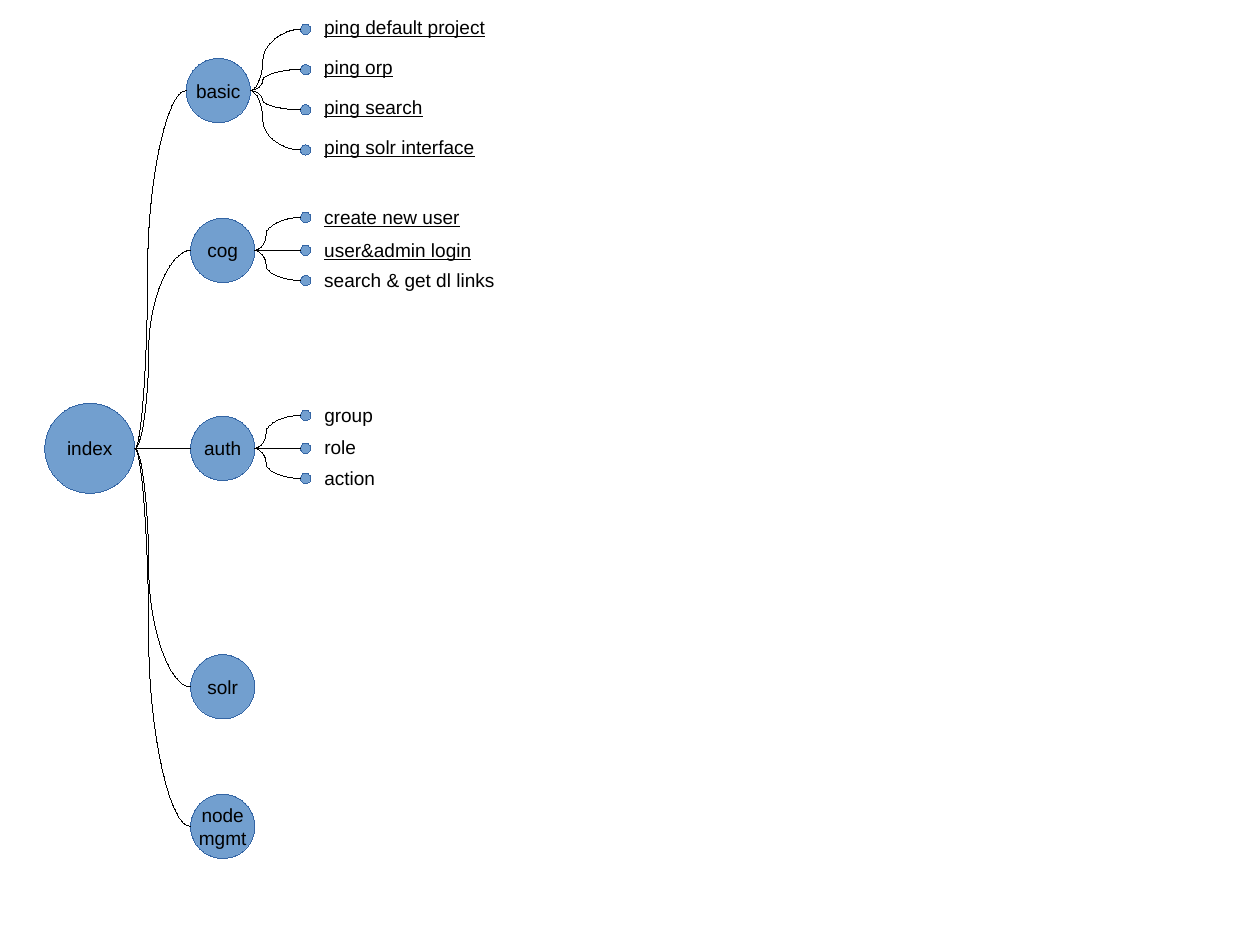
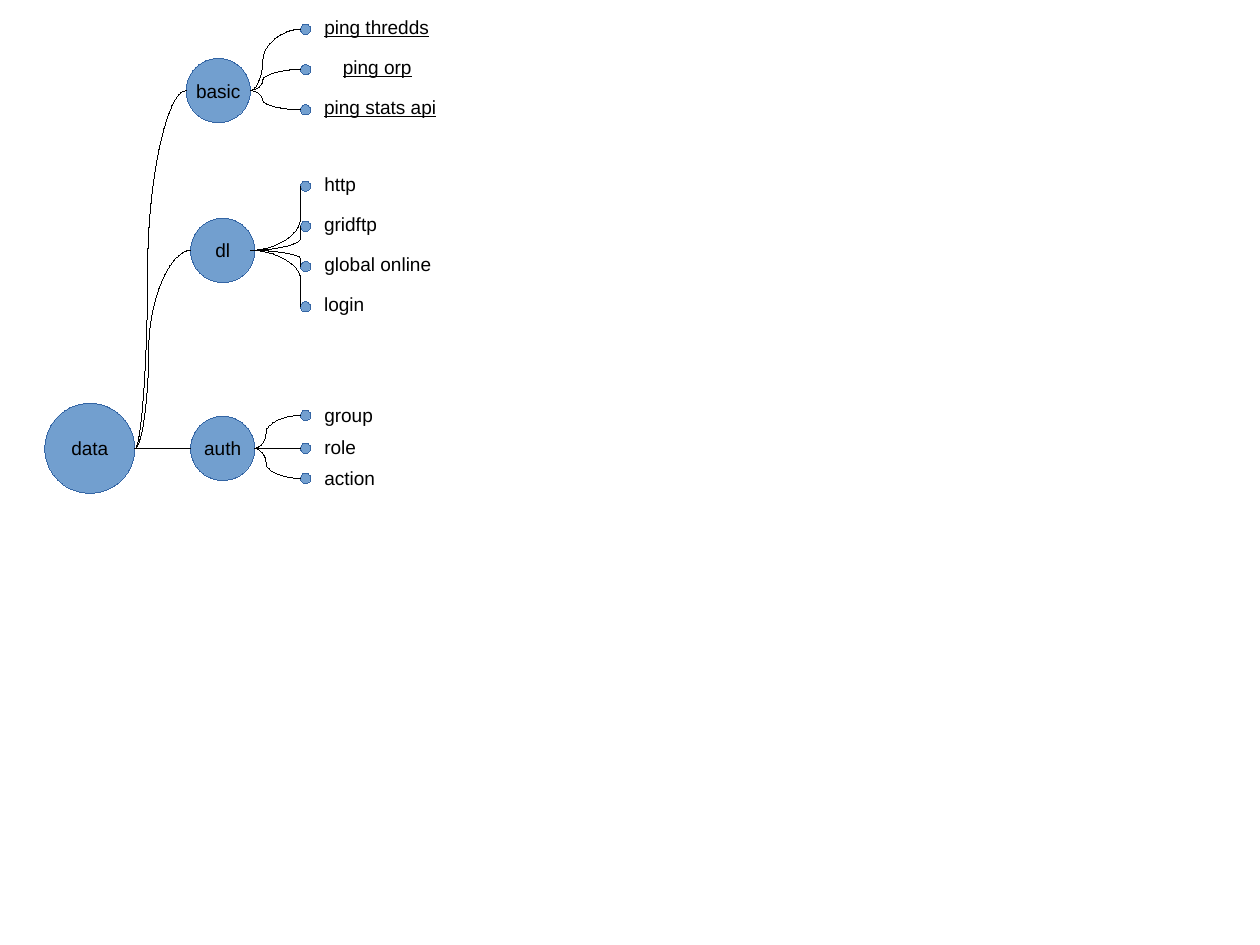
from dataclasses import dataclass

from pptx import Presentation
from pptx.dml.color import RGBColor
from pptx.enum.shapes import MSO_CONNECTOR as CONNECTOR, MSO_SHAPE as SHAPE
from pptx.enum.text import MSO_ANCHOR as ANCHOR, MSO_AUTO_SIZE as AUTO_SIZE, PP_ALIGN as ALIGN
from pptx.oxml.ns import qn
from pptx.util import Pt
from lxml.etree import SubElement

FONT, FONT_SIZE = "Arial", 12
NODE_FILL, NODE_EDGE, INK = "729FCF", "3465A4", "000000"

SLIDE_WIDTH, SLIDE_HEIGHT = 793.7, 595.28
ROOT_X, ROOT_Y, ROOT_SIZE = 56.6, 282.4, 56.7
BRANCH_SIZE = 40.5
BASIC_X, BRANCH_X = 137.5, 140.3
DOT_X, DOT_SIZE = 192.5, 6.5
LABEL_X, LABEL_HEIGHT = 196.8, 20.8
TIGHT_RISE, EVEN_RISE = 0.9, 2
BEND = 0.25
LEAF_GAP = 25.3
TRIPLE_OFFSETS = (-20.7, 0, 19)


@dataclass
class Leaf:
    text: str
    label_width: float
    underlined: bool = False


@dataclass
class Branch:
    text: str
    y: float
    leaves: tuple = ()
    offsets: tuple = ()
    x: float = BRANCH_X
    link_x: float = BRANCH_X + BRANCH_SIZE / 2
    bend: float = BEND
    label_rise: float = TIGHT_RISE


def even_offsets(first, count):
    return tuple(first + LEAF_GAP * i for i in range(count))


def basic_branch(*leaves):
    return Branch("basic", 57, leaves, even_offsets(-38.5, len(leaves)),
                  BASIC_X, BASIC_X + BRANCH_SIZE / 2, label_rise=EVEN_RISE)


AUTH = Branch("auth", ROOT_Y, (
    Leaf("group", 45.6),
    Leaf("role", 35),
    Leaf("action", 47),
), TRIPLE_OFFSETS)

TREES = {
    "index": (
        basic_branch(
            Leaf("ping default project", 116.2, True),
            Leaf("ping orp", 58, True),
            Leaf("ping search", 76.8, True),
            Leaf("ping solr interface", 109.6, True),
        ),
        Branch("cog", 157.7, (
            Leaf("create new user", 100.3, True),
            Leaf("user&admin login", 107.6, True),
            Leaf("search & get dl links", 122.2),
        ), TRIPLE_OFFSETS),
        AUTH,
        Branch("solr", 432.6),
        Branch("node\nmgmt", 520.5),
    ),
    "data": (
        basic_branch(
            Leaf("ping thredds", 81, True),
            Leaf("ping orp", 81.6, True),
            Leaf("ping stats api", 85.4, True),
        ),
        Branch("dl", 157.7, (
            Leaf("http", 35),
            Leaf("gridftp", 48),
            Leaf("global online", 82.4),
            Leaf("login", 40),
        ), even_offsets(-40.4, 4), link_x=BASIC_X + BRANCH_SIZE / 2, bend=1,
            label_rise=EVEN_RISE),
        AUTH,
    ),
}


def color(hex_code):
    return RGBColor.from_string(hex_code)


def set_hairline(shape, hex_code):
    shape.line.color.rgb = color(hex_code)
    shape.element.spPr.find(qn("a:ln")).set("w", "0")


def write_text(frame, text, underlined=False):
    frame.text = text
    frame.word_wrap = False
    for paragraph in frame.paragraphs:
        paragraph.alignment = ALIGN.CENTER
        for run in paragraph.runs:
            run.font.name = FONT
            run.font.size = Pt(FONT_SIZE)
            run.font.color.rgb = color(INK)
            if underlined:
                run.font.underline = True


def add_circle(slide, x, y, size, text=""):
    circle = slide.shapes.add_shape(
        SHAPE.OVAL, Pt(x - size / 2), Pt(y - size / 2), Pt(size), Pt(size))
    circle.shadow.inherit = False
    circle.fill.solid()
    circle.fill.fore_color.rgb = color(NODE_FILL)
    set_hairline(circle, NODE_EDGE)
    if text:
        circle.text_frame.vertical_anchor = ANCHOR.MIDDLE
        write_text(circle.text_frame, text)


def add_link(slide, x1, y1, x2, y2, bend=BEND):
    kind = CONNECTOR.STRAIGHT if y1 == y2 else CONNECTOR.CURVE
    link = slide.shapes.add_connector(kind, Pt(x1), Pt(y1), Pt(x2), Pt(y2))
    set_hairline(link, INK)
    properties = link.element.spPr
    SubElement(properties, qn("a:effectLst"))
    if kind == CONNECTOR.CURVE:
        adjustments = properties.find(qn("a:prstGeom")).find(qn("a:avLst"))
        SubElement(adjustments, qn("a:gd"), name="adj1", fmla=f"val {round(bend * 100000)}")


def add_leaf(slide, leaf, y, label_rise):
    add_circle(slide, DOT_X, y, DOT_SIZE)
    label = slide.shapes.add_textbox(
        Pt(LABEL_X), Pt(y - label_rise - LABEL_HEIGHT / 2),
        Pt(leaf.label_width), Pt(LABEL_HEIGHT))
    write_text(label.text_frame, leaf.text, leaf.underlined)
    label.text_frame.auto_size = AUTO_SIZE.SHAPE_TO_FIT_TEXT


def add_branch(slide, branch):
    add_circle(slide, branch.x, branch.y, BRANCH_SIZE, branch.text)
    add_link(slide, ROOT_X + ROOT_SIZE / 2, ROOT_Y, branch.x - BRANCH_SIZE / 2, branch.y)
    for leaf, offset in zip(branch.leaves, branch.offsets):
        leaf_y = branch.y + offset
        add_leaf(slide, leaf, leaf_y, branch.label_rise)
        add_link(slide, branch.link_x, branch.y, DOT_X - DOT_SIZE / 2, leaf_y, branch.bend)


def main():
    deck = Presentation()
    deck.slide_width, deck.slide_height = Pt(SLIDE_WIDTH), Pt(SLIDE_HEIGHT)
    for root, branches in TREES.items():
        slide = deck.slides.add_slide(deck.slide_layouts[6])
        add_circle(slide, ROOT_X, ROOT_Y, ROOT_SIZE, root)
        for branch in branches:
            add_branch(slide, branch)
    deck.save("out.pptx")


if __name__ == "__main__":
    main()
